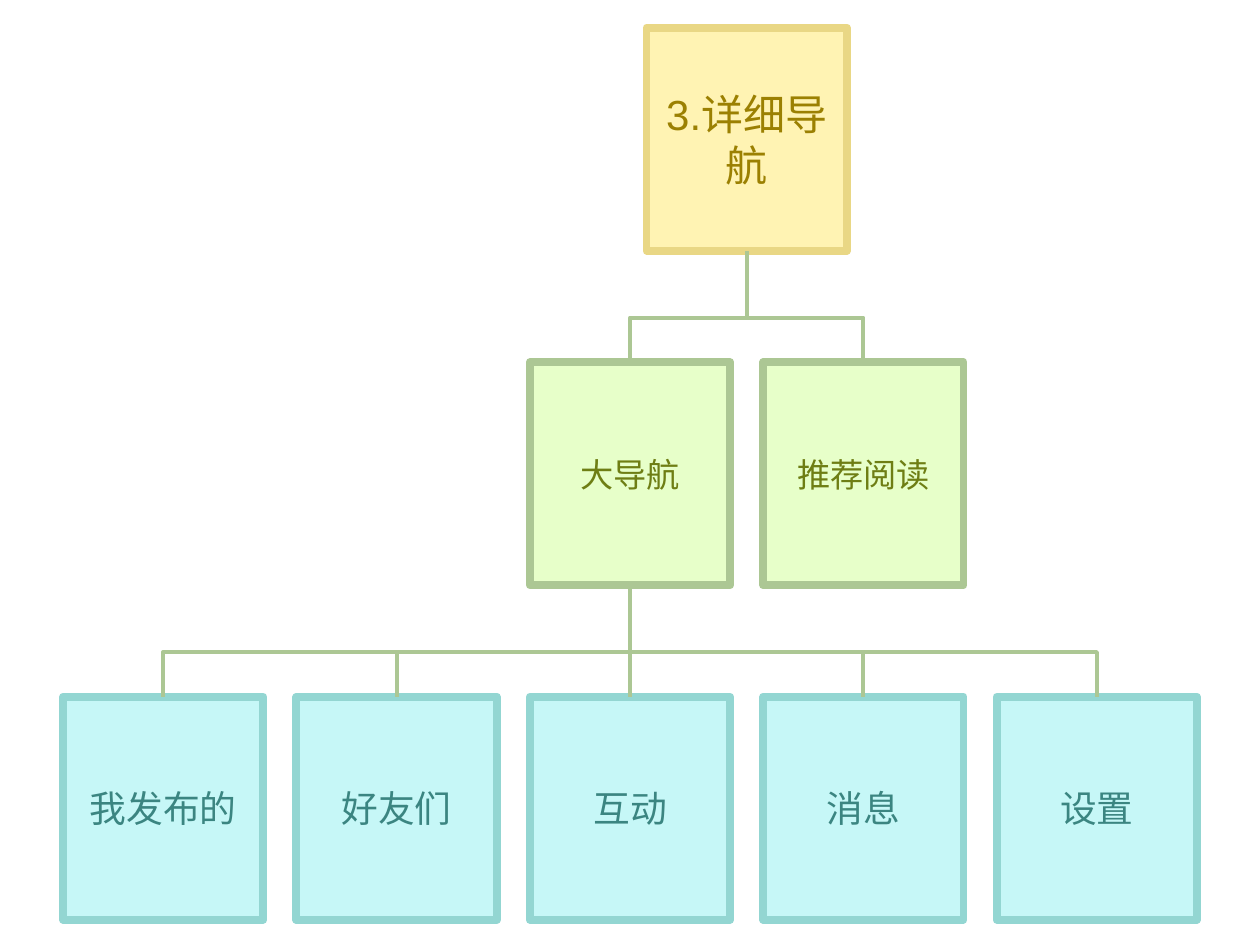
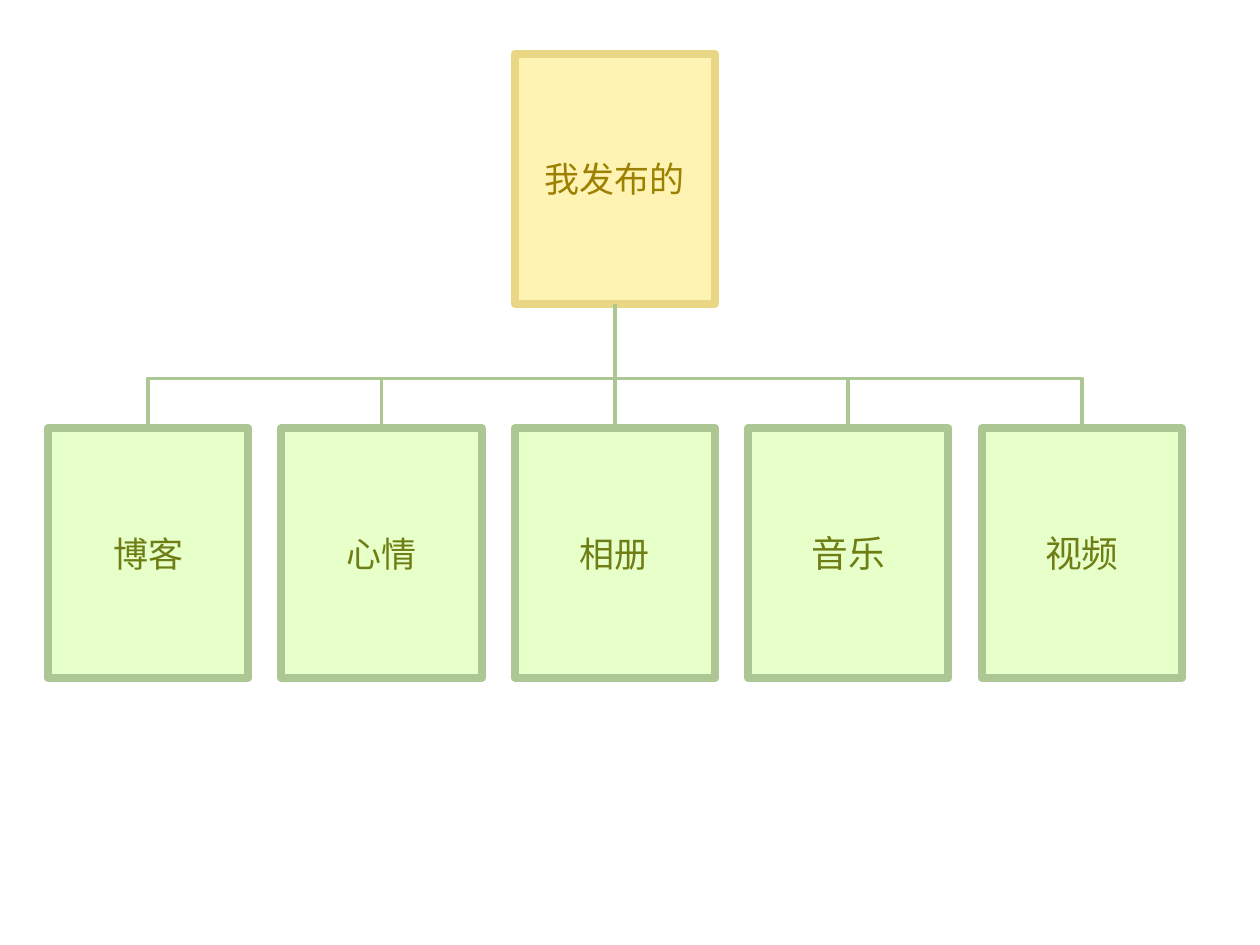
from collections import namedtuple
from math import copysign

from lxml.etree import SubElement
from pptx import Presentation
from pptx.dml.color import RGBColor
from pptx.enum.shapes import MSO_CONNECTOR, MSO_SHAPE
from pptx.enum.text import MSO_ANCHOR, PP_ALIGN
from pptx.oxml.ns import qn
from pptx.util import Inches, Pt

FONT = "Arial"
BOX_WIDTH = 1.59
COLUMN_PITCH = (7.91 - 0.5) / 4
BRANCH_COLOR = "ACC794"

Style = namedtuple("Style", "fill border text")
ROOT = Style("FFE868", "E9D785", "9B8002")
SECOND_LEVEL = Style("D0FF94", "ACC794", "6E7E14")
THIRD_LEVEL = Style("8EF0F1", "93D6D2", "3B8581")

# Position of a chart: left edge of column 0, top of row 0, box height, row distance
Grid = namedtuple("Grid", "left top box_height row_pitch")
Node = namedtuple("Node", "center top bottom")


def set_color(color_format, hex_color):
    color_format.rgb = RGBColor.from_string(hex_color)


def fill_half_transparent(shape, hex_color):
    shape.fill.solid()
    set_color(shape.fill.fore_color, hex_color)
    color = shape._element.spPr.find(qn("a:solidFill"))[0]
    SubElement(color, qn("a:alpha"), val="50000")


def add_box(slide, grid, column, row, text, size, style):
    left = grid.left + column * COLUMN_PITCH
    top = grid.top + row * grid.row_pitch
    shape = slide.shapes.add_shape(
        MSO_SHAPE.RECTANGLE, Inches(left), Inches(top),
        Inches(BOX_WIDTH), Inches(grid.box_height))
    shape.shadow.inherit = False
    fill_half_transparent(shape, style.fill)
    set_color(shape.line.color, style.border)
    shape.line.width = Pt(4.5)

    frame = shape.text_frame
    frame.word_wrap = True
    frame.vertical_anchor = MSO_ANCHOR.MIDDLE
    paragraph = frame.paragraphs[0]
    paragraph.text = text
    paragraph.alignment = PP_ALIGN.CENTER
    paragraph.font.name = FONT
    paragraph.font.size = Pt(size)
    set_color(paragraph.font.color, style.text)
    return Node(left + BOX_WIDTH / 2, top, top + grid.box_height)


def add_branch(slide, child, parent):
    """Join a child's top to its parent's bottom, turning 40% of the way up."""
    offset = parent.center - child.center
    is_straight = abs(offset) < 0.01
    if is_straight:
        kind, rotation = MSO_CONNECTOR.STRAIGHT, 0
        ends = (child.center, child.top, parent.center, parent.bottom)
    else:
        # An elbow leaves sideways, so it is laid flat and given a quarter turn.
        kind = MSO_CONNECTOR.ELBOW
        side = copysign(1, offset)
        rotation = 90 * side % 360
        middle_x = (child.center + parent.center) / 2
        middle_y = (child.top + parent.bottom) / 2
        half_length = side * (child.top - parent.bottom) / 2
        half_height = abs(offset) / 2
        ends = (middle_x + half_length, middle_y + half_height,
                middle_x - half_length, middle_y - half_height)

    connector = slide.shapes.add_connector(kind, *map(Inches, ends))
    set_color(connector.line.color, BRANCH_COLOR)
    connector.line.width = Pt(2.25)
    properties = connector._element.spPr
    SubElement(properties, qn("a:effectLst"))
    if not is_straight:
        connector.rotation = rotation
        adjustments = properties.find(qn("a:prstGeom")).find(qn("a:avLst"))
        SubElement(adjustments, qn("a:gd"), name="adj1", fmla="val 40000")


def add_children(slide, grid, parent, row, first_column, labels, style):
    """Add a row of (text, size) boxes under a parent and return their nodes."""
    nodes = []
    for column, (text, size) in enumerate(labels, first_column):
        node = add_box(slide, grid, column, row, text, size, style)
        add_branch(slide, node, parent)
        nodes.append(node)
    return nodes


def build_navigation(slide):
    grid = Grid(0.5, 0.22, 1.77, 2.655)
    root = add_box(slide, grid, 2.5, 0, "3.详细导航", 24, ROOT)
    main_navigation, _ = add_children(
        slide, grid, root, 1, 2, [("大导航", 19), ("推荐阅读", 19)], SECOND_LEVEL)
    sections = ["我发布的", "好友们", "互动", "消息", "设置"]
    add_children(slide, grid, main_navigation, 2, 0,
                 [(text, 21) for text in sections], THIRD_LEVEL)


def build_published(slide):
    grid = Grid(0.38, 0.43, 1.98, 2.97)
    root = add_box(slide, grid, 2, 0, "我发布的", 20, ROOT)
    labels = [("博客", 20), ("心情", 20), ("相册", 20), ("音乐", 21), ("视频", 21)]
    add_children(slide, grid, root, 1, 0, labels, SECOND_LEVEL)


def main():
    presentation = Presentation()
    presentation.slide_width = Inches(10)
    presentation.slide_height = Inches(7.5)
    blank_layout = presentation.slide_layouts[6]
    for build in (build_navigation, build_published):
        build(presentation.slides.add_slide(blank_layout))
    presentation.save("out.pptx")


if __name__ == "__main__":
    main()
